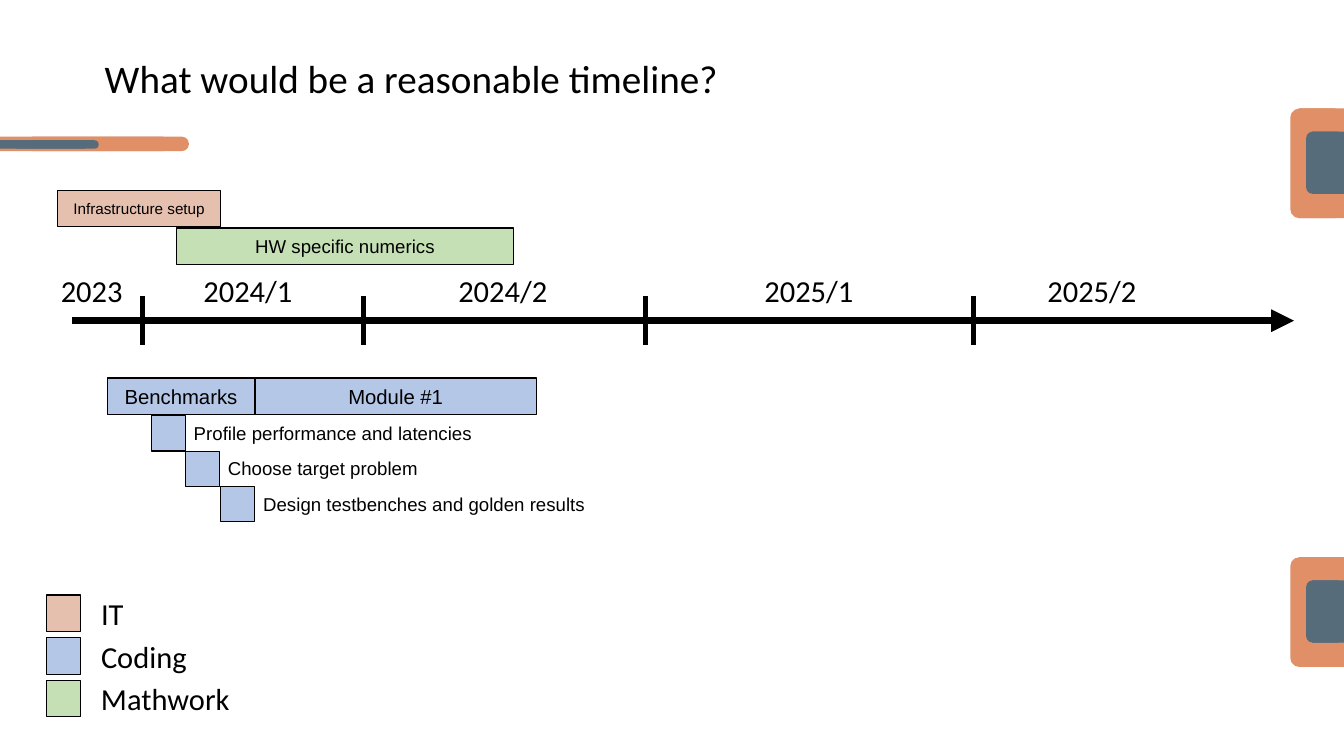
from collections import namedtuple
from dataclasses import dataclass

from lxml.etree import SubElement
from pptx import Presentation
from pptx.dml.color import RGBColor
from pptx.enum.shapes import MSO_CONNECTOR, MSO_SHAPE
from pptx.enum.text import MSO_ANCHOR, PP_ALIGN
from pptx.oxml.ns import qn
from pptx.util import Pt

SCALE = 9144  # EMU in one px, 100 px to the inch

Box = namedtuple("Box", "left top width height")


@dataclass(frozen=True)
class Theme:
    ink: str = "000000"
    orange: str = "E08F66"
    slate: str = "576C7B"
    it: str = "E6C0AE"
    coding: str = "B4C7E7"
    mathwork: str = "C5E0B4"
    heading_font: str = "Calibri"
    body_font: str = "Arial"
    title_size: float = 23.1
    label_size: float = 18
    bar_size: float = 12
    step_size: float = 11
    small_size: float = 9
    outline: float = 0.75
    axis_line: float = 4.5
    tick_line: float = 3


THEME = Theme()


def emu(*lengths):
    return [length * SCALE for length in lengths]


def write(shape, text, font=THEME.heading_font, size=THEME.label_size, align=PP_ALIGN.LEFT,
          anchor=MSO_ANCHOR.TOP, wrap=True, spacing=None):
    frame = shape.text_frame
    frame.word_wrap = wrap
    frame.vertical_anchor = anchor
    para = frame.paragraphs[0]
    para.alignment = align
    para.line_spacing = spacing
    span = para.add_run()
    span.text = text
    span.font.name = font
    span.font.size = Pt(size)
    span.font.color.rgb = RGBColor.from_string(THEME.ink)


def add_text(page, box, text, **style):
    write(page.shapes.add_textbox(*emu(*box)), text, **style)


def add_block(page, box, fill, kind=MSO_SHAPE.RECTANGLE, outlined=True, rounding=None):
    shape = page.shapes.add_shape(kind, *emu(*box))
    shape.shadow.inherit = False
    shape.fill.solid()
    shape.fill.fore_color.rgb = RGBColor.from_string(fill)
    if outlined:
        shape.line.color.rgb = RGBColor.from_string(THEME.ink)
        shape.line.width = Pt(THEME.outline)
    else:
        shape.line.fill.background()
    if rounding is not None:
        shape.adjustments[0] = rounding
    return shape


def add_line(page, start, end, width, arrow=False):
    line = page.shapes.add_connector(MSO_CONNECTOR.STRAIGHT, *emu(*start, *end))
    line.line.color.rgb = RGBColor.from_string(THEME.ink)
    line.line.width = Pt(width)
    if arrow:
        SubElement(line.line._get_or_add_ln(), qn("a:tailEnd"), type="triangle")
    SubElement(line._element.spPr, qn("a:effectLst"))


def add_tab(page, box, fill, square, rounding):
    """Rounded block with a square block over the side at the page edge."""
    add_block(page, box, fill, MSO_SHAPE.ROUNDED_RECTANGLE, outlined=False, rounding=rounding)
    add_block(page, square, fill, outlined=False)


def draw_edge_marker(page, box):
    left, top, width, height = box
    for inset, drop, tall, corner, fill in ((0, 0, height, 7, THEME.orange),
                                            (13, 19, 51, 5, THEME.slate)):
        outer = Box(left + inset, top + drop, width - inset, tall)
        square = outer._replace(left=outer.left + corner, width=outer.width - corner)
        add_tab(page, outer, fill, square, 0.17)


def draw_title_rule(page, box):
    left, top, width, height = box
    for drop, long, tall, corner, fill in ((0, width, height, 21, THEME.orange),
                                           (3, 81, 7, 11, THEME.slate)):
        square = Box(left, top + drop, long - corner, tall)
        add_tab(page, square._replace(left=left + corner), fill, square, 0.5)


def draw_axis(page, box):
    left, top, width, height = box
    middle = top + height // 2
    add_line(page, (left, middle), (left + width, middle), THEME.axis_line, arrow=True)
    for offset in (58, 239, 470, 739):
        add_line(page, (left + offset, top), (left + offset, top + height), THEME.tick_line)
    for period, offset, wide in (("2023", -19, 71), ("2024/1", 98, 94), ("2024/2", 307, 94),
                                 ("2025/1", 558, 94), ("2025/2", 790, 94)):
        add_text(page, Box(left + offset, top - 25, wide, 40), period, wrap=False)


def draw_bar(page, box, text, fill, size):
    write(add_block(page, box, fill), text, font=THEME.body_font, size=size,
          align=PP_ALIGN.CENTER, anchor=MSO_ANCHOR.MIDDLE)


def draw_preparation(page, box):
    left, top, width, height = box
    row = height // 2
    draw_bar(page, Box(left, top, 134, row - 1), "Infrastructure setup", THEME.it, THEME.small_size)
    draw_bar(page, Box(left + 98, top + row, width - 98, row - 1), "HW specific numerics",
             THEME.mathwork, THEME.step_size)


def draw_coding(page, box):
    """Two joined bars above a staircase of labelled steps."""
    left, top, width, height = box
    bar, first, side = 30, 121, 29
    draw_bar(page, Box(left, top, first, bar), "Benchmarks", THEME.coding, THEME.bar_size)
    draw_bar(page, Box(left + first, top, 231, bar), "Module #1", THEME.coding, THEME.bar_size)
    steps = ("Profile performance and latencies", "Choose target problem",
             "Design testbenches and golden results")
    for index, text in enumerate(steps):
        step_left = left + 36 + index * 57 // 2
        step_top = top + bar + 1 + index * side
        add_block(page, Box(step_left, step_top, 28, side), THEME.coding)
        text_left = step_left + 25
        add_text(page, Box(text_left, step_top, left + width - text_left, side), text,
                 font=THEME.body_font, size=THEME.step_size)


def draw_legend(page, box):
    left, top, width, height = box
    entries = (("IT", THEME.it, 39), ("Coding", THEME.coding, 91),
               ("Mathwork", THEME.mathwork, 126))
    pitch = height // len(entries)
    for index, (text, fill, wide) in enumerate(entries):
        row = top + index * pitch
        add_block(page, Box(left, row, 28, pitch - 5), fill)
        add_text(page, Box(left + 35, row - 5, wide, 40), text, wrap=False)


def draw_timeline_slide(page, box):
    for top in (89, 457):
        draw_edge_marker(page, Box(box.width - 44, top, 44, 90))
    draw_title_rule(page, Box(0, 112, 155, 12))
    add_text(page, Box(76, 26, 922, 63), "What would be a reasonable timeline?",
             size=THEME.title_size, anchor=MSO_ANCHOR.BOTTOM, spacing=0.9)
    draw_axis(page, Box(59, 243, 1002, 40))
    draw_preparation(page, Box(47, 156, 374, 62))
    draw_coding(page, Box(88, 310, 412, 118))
    draw_legend(page, Box(38, 488, 161, 105))


def main():
    deck = Presentation()
    area = Box(0, 0, 1102, 620)
    deck.slide_width, deck.slide_height = emu(area.width, area.height)
    draw_timeline_slide(deck.slides.add_slide(deck.slide_layouts[6]), area)
    deck.save("out.pptx")


if __name__ == "__main__":
    main()
